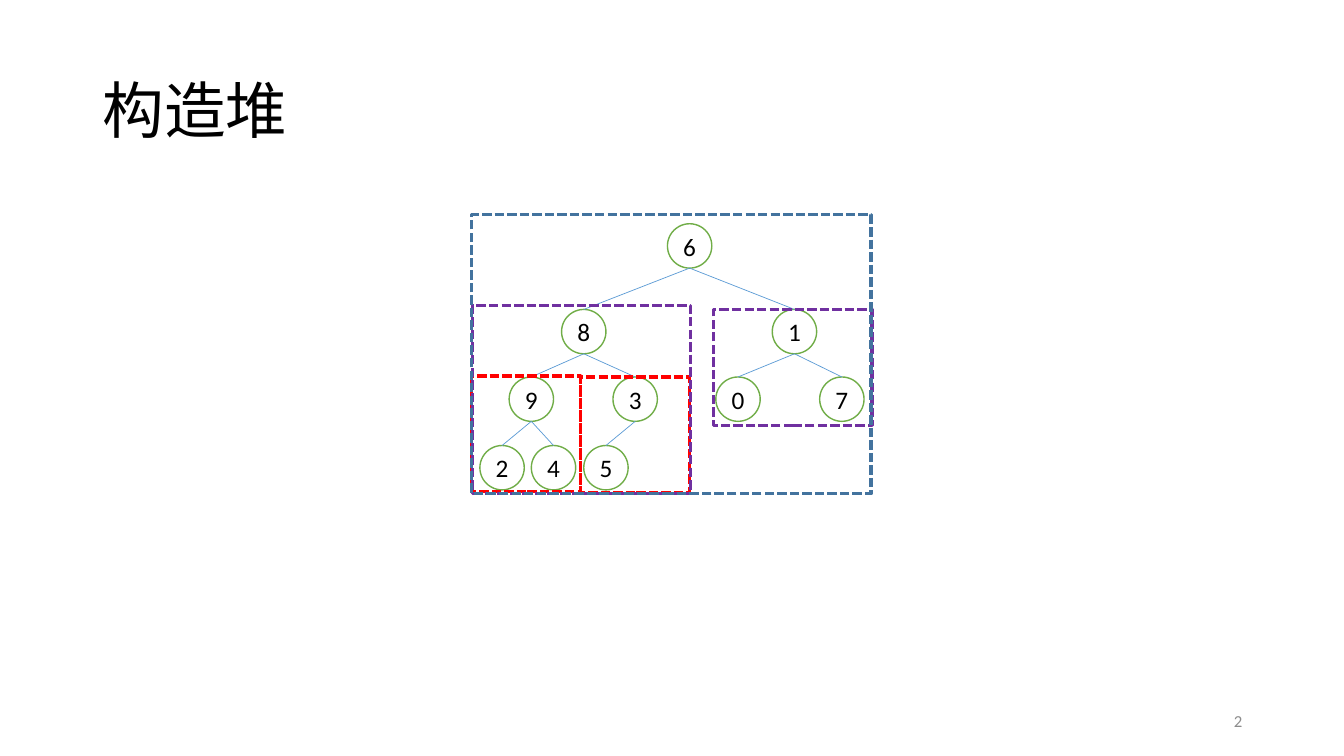
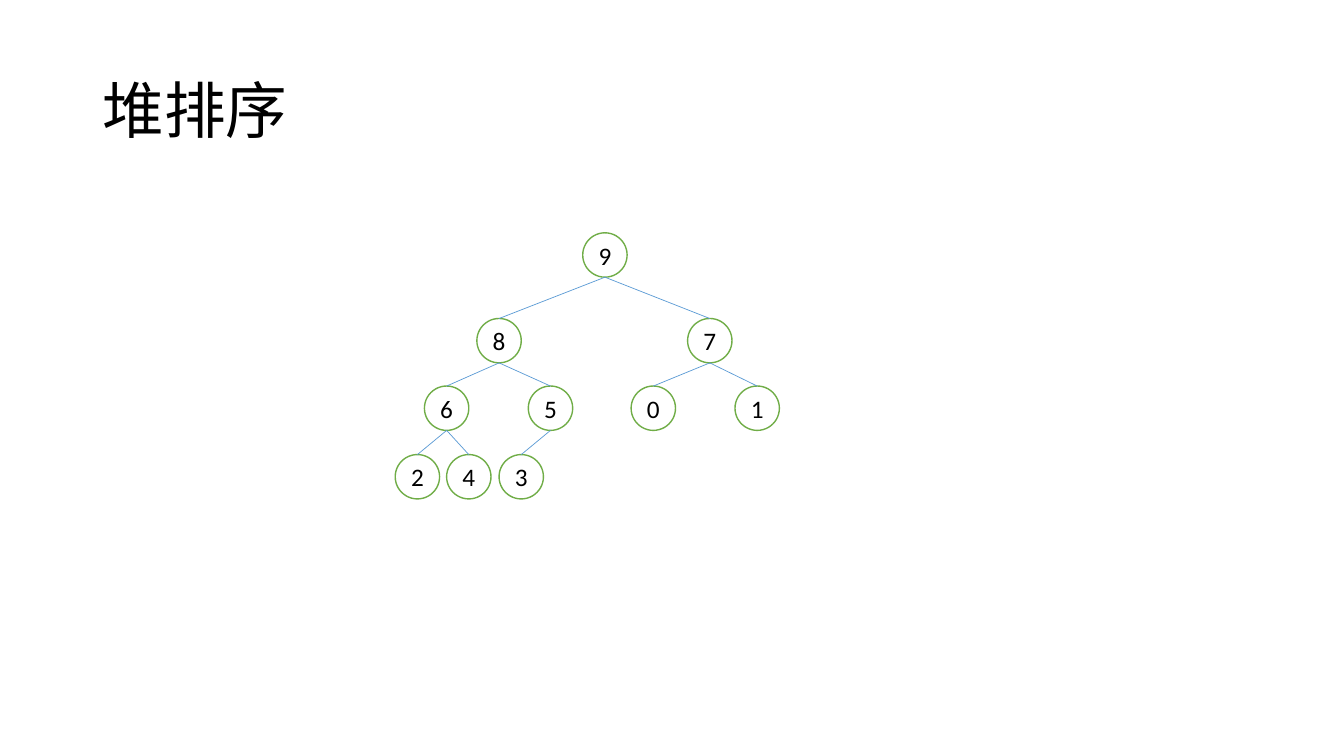
import pptx
import pptx.util
import pptx.dml.color
import pptx.enum.dml
import pptx.enum.shapes
import pptx.enum.text
import pptx.oxml

Inches = pptx.util.Inches
Pt = pptx.util.Pt
MIDDLE = pptx.enum.text.MSO_ANCHOR.MIDDLE
ALIGN = pptx.enum.text.PP_ALIGN
SHAPE = pptx.enum.shapes.MSO_SHAPE

BLACK, WHITE, GREY = "000000", "FFFFFF", "8C8C8C"
GREEN, LIGHT_BLUE = "70AD47", "5B9BD5"
RED, PURPLE, DARK_BLUE = "FF0000", "7030A0", "43739E"

NODE_SIZE = 0.44
NODE_OFFSETS = [
    (0, 0),
    (-1.05, 0.85), (1.04, 0.85),
    (-1.57, 1.52), (-0.54, 1.52), (0.48, 1.52), (1.51, 1.52),
    (-1.86, 2.2), (-1.35, 2.2), (-0.83, 2.2),
]

heap_slides = [
    {
        "title": "构造堆",
        "number": "2",
        "root": (6.62, 2.22),
        "heap": [6, 8, 1, 9, 3, 0, 7, 2, 4, 5],
        "subtrees": [
            (5.76, 3.74, 1.08, 1.15, RED),
            (4.68, 3.73, 1.08, 1.15, RED),
            (7.08, 3.07, 1.57, 1.15, PURPLE),
            (4.69, 3.03, 2.16, 1.87, PURPLE),
            (4.68, 2.13, 3.96, 2.77, DARK_BLUE),
        ],
    },
    {
        "title": "堆排序",
        "number": None,
        "root": (5.78, 2.31),
        "heap": [9, 8, 7, 6, 5, 0, 1, 2, 4, 3],
        "subtrees": [],
    },
]


def rgb(hex_string):
    return pptx.dml.color.RGBColor.from_string(hex_string)


def write(shape, text, size, color, align):
    frame = shape.text_frame
    frame.word_wrap = True
    frame.vertical_anchor = MIDDLE
    paragraph = frame.paragraphs[0]
    paragraph.text = text
    paragraph.alignment = align
    paragraph.font.name = "Calibri"
    paragraph.font.size = Pt(size)
    paragraph.font.color.rgb = rgb(color)
    return frame


prs = pptx.Presentation()
prs.slide_width = Inches(13.33)
prs.slide_height = Inches(7.5)

for content in heap_slides:
    slide = prs.slides.add_slide(prs.slide_layouts[6])
    shapes = slide.shapes

    title = shapes.add_textbox(Inches(0.92), Inches(0.4), Inches(11.5), Inches(1.45))
    title_frame = write(title, content["title"], 44, BLACK, ALIGN.LEFT)
    title_frame.paragraphs[0].line_spacing = 0.9

    if content["number"]:
        number = shapes.add_textbox(Inches(9.42), Inches(6.95), Inches(3), Inches(0.4))
        write(number, content["number"], 12, GREY, ALIGN.RIGHT)

    root_left, root_top = content["root"]
    corners = [(root_left + dx, root_top + dy) for dx, dy in NODE_OFFSETS]

    for value, (left, top) in zip(content["heap"], corners):
        node = shapes.add_shape(
            SHAPE.OVAL, Inches(left), Inches(top), Inches(NODE_SIZE), Inches(NODE_SIZE))
        node.shadow.inherit = False
        node.fill.solid()
        node.fill.fore_color.rgb = rgb(WHITE)
        node.line.color.rgb = rgb(GREEN)
        node.line.width = Pt(1)
        node_frame = write(node, str(value), 18, BLACK, ALIGN.CENTER)
        node_frame.margin_left = node_frame.margin_right = 0
        node_frame.margin_top = node_frame.margin_bottom = 0

    for child in range(1, len(corners)):
        parent_left, parent_top = corners[(child - 1) // 2]
        child_left, child_top = corners[child]
        edge = shapes.add_connector(
            pptx.enum.shapes.MSO_CONNECTOR.STRAIGHT,
            Inches(parent_left + NODE_SIZE / 2), Inches(parent_top + NODE_SIZE),
            Inches(child_left + NODE_SIZE / 2), Inches(child_top))
        edge.line.color.rgb = rgb(LIGHT_BLUE)
        edge.line.width = Pt(0.5)
        edge.element.spPr.append(pptx.oxml.parse_xml(
            '<a:effectLst xmlns:a="http://schemas.openxmlformats.org/drawingml/2006/main"/>'))

    for left, top, width, height, color in content["subtrees"]:
        subtree = shapes.add_shape(
            SHAPE.RECTANGLE, Inches(left), Inches(top), Inches(width), Inches(height))
        subtree.shadow.inherit = False
        subtree.fill.background()
        subtree.line.color.rgb = rgb(color)
        subtree.line.width = Pt(2.25)
        subtree.line.dash_style = pptx.enum.dml.MSO_LINE.SQUARE_DOT

prs.save("out.pptx")
